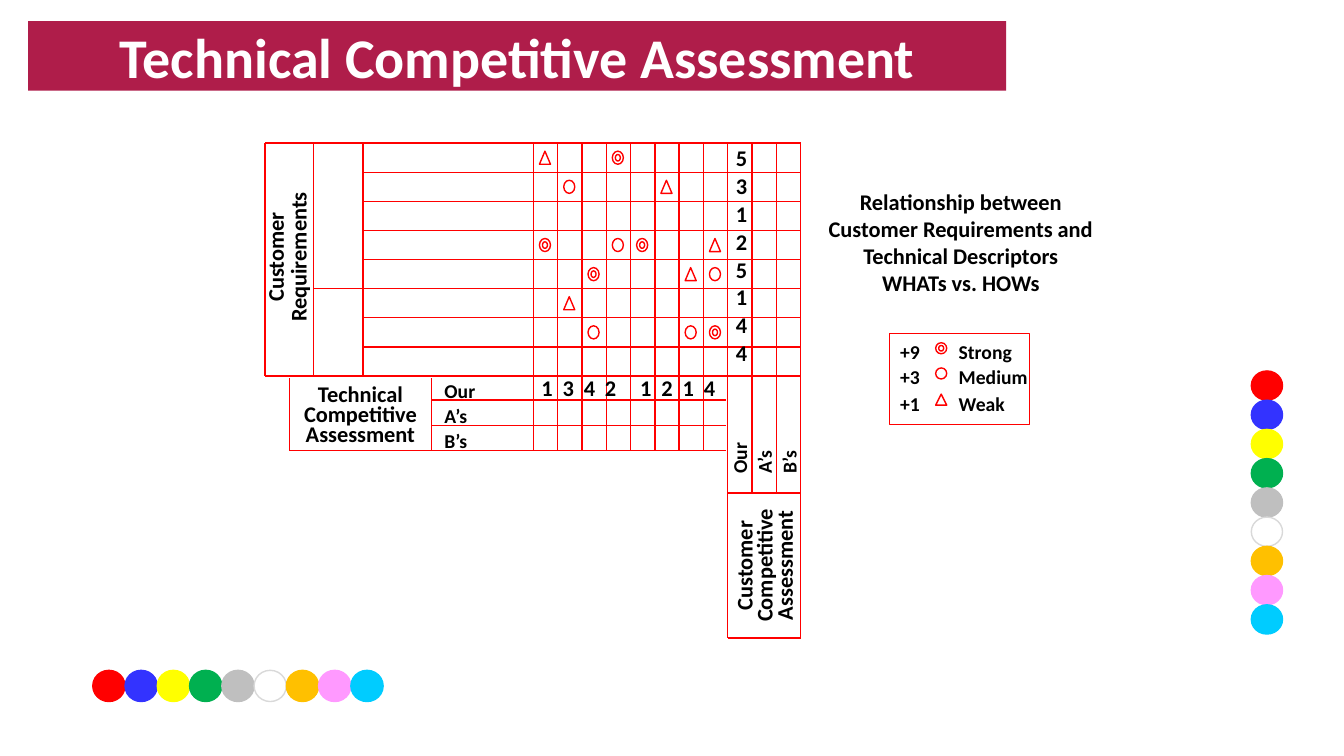
from lxml import etree
from pptx import Presentation
from pptx.dml.color import RGBColor
from pptx.enum.shapes import MSO_CONNECTOR, MSO_SHAPE
from pptx.enum.text import MSO_ANCHOR, PP_ALIGN
from pptx.oxml.ns import qn
from pptx.util import Inches, Pt

RED = "FF0000"
CENTER, LEFT = PP_ALIGN.CENTER, PP_ALIGN.LEFT
RING, CIRCLE, TRIANGLE = "ring", "circle", "triangle"

deck = Presentation()
deck.slide_width, deck.slide_height = Inches(13.33), Inches(7.5)
page = deck.slides.add_slide(deck.slide_layouts[6])


def color(value):
    return RGBColor.from_string(value)


def write(frame, lines, size, align=LEFT, spacing=1.0, gap=0, ink="000000"):
    frame.text = "\n".join(lines)
    for index, para in enumerate(frame.paragraphs):
        para.alignment = align
        para.line_spacing = spacing
        if index and gap:
            para.space_before = Pt(gap)
        for span in para.runs:
            span.font.name = "Calibri"
            span.font.size = Pt(size)
            span.font.bold = True
            span.font.color.rgb = color(ink)


dot_colors = ["FF0000", "3333FF", "FFFF00", "00B050", "BFBFBF",
              "FFFFFF", "FFC000", "FF99FF", "00CCFF"]
dot_rows = [(12.42, 3.67, 0, 0.29, 0.29, 90), (0.92, 6.65, 0.32, 0, 0.32, 0)]
for left, top, step_x, step_y, width, turn in dot_rows:
    for index, fill in enumerate(dot_colors):
        dot = page.shapes.add_shape(
            MSO_SHAPE.FLOWCHART_CONNECTOR,
            Inches(left + index * step_x), Inches(top + index * step_y),
            Inches(width), Inches(0.31))
        dot.rotation = turn
        dot.shadow.inherit = False
        dot.fill.solid()
        dot.fill.fore_color.rgb = color(fill)
        dot.line.color.rgb = color("D9D9D9" if fill == "FFFFFF" else fill)
        dot.line.width = Pt(1)

title = page.shapes.add_shape(
    MSO_SHAPE.RECTANGLE, Inches(0.28), Inches(0.21), Inches(9.7), Inches(0.69))
title.shadow.inherit = False
title.fill.solid()
title.fill.fore_color.rgb = color("AF1D4A")
title.line.fill.background()
title_frame = title.text_frame
title_frame.margin_left = title_frame.margin_right = 0
title_frame.margin_top, title_frame.margin_bottom = Inches(0.01), 0
title_frame.vertical_anchor = MSO_ANCHOR.MIDDLE
title_frame.word_wrap = True
write(title_frame, ["Technical Competitive Assessment"], 40, CENTER, ink="FFFFFF")

grid_left, grid_right, grid_top, grid_bottom = 5.29, 7.94, 1.42, 3.73
column = (grid_right - grid_left) / 11
row = (grid_bottom - grid_top) / 8
rating_left = grid_left + 8 * column

lines = []
column_ends = [4.47] * 8 + [6.33, 4.89, 4.89, 6.33]
for index, end in enumerate(column_ends):
    x = grid_left + index * column
    lines.append((x, grid_top, x, end))
row_starts = [2.63, 3.6, 3.6, 3.6, 3.6, 3.11, 3.6, 3.6, 2.63]
for index, start in enumerate(row_starts):
    y = grid_top + index * row
    lines.append((start, y, grid_right, y))
for x in (2.63, 3.11, 3.6):
    lines.append((x, grid_top, x, grid_bottom))
for x in (2.87, 4.28):
    lines.append((x, 3.75, x, 4.47))
for start, y in ((4.28, 3.97), (4.28, 4.22), (2.87, 4.47)):
    lines.append((start, y, 7.2, y))
for y in (4.89, 6.33):
    lines.append((rating_left, y, grid_right, y))

for ends in lines:
    line = page.shapes.add_connector(
        MSO_CONNECTOR.STRAIGHT, *[Inches(value) for value in ends])
    line.line.color.rgb = color(RED)
    line.line.width = Pt(1)
    etree.SubElement(line._element.spPr, qn("a:effectLst"))

relations = [
    (RING, 0, 3), (RING, 3, 0), (RING, 4, 3), (RING, 2, 4), (RING, 7, 6),
    (CIRCLE, 1, 1), (CIRCLE, 3, 3), (CIRCLE, 7, 4), (CIRCLE, 2, 6), (CIRCLE, 6, 6),
    (TRIANGLE, 0, 0), (TRIANGLE, 5, 1), (TRIANGLE, 7, 3), (TRIANGLE, 6, 4),
    (TRIANGLE, 1, 5),
]
symbols = [(kind, grid_left + 0.06 + x * column, grid_top + 0.08 + y * row, 0.13)
           for kind, x, y in relations]
symbols += [(RING, 9.28, 3.4, 0.11), (CIRCLE, 9.28, 3.65, 0.11),
            (TRIANGLE, 9.28, 3.91, 0.11)]

outlines = [(MSO_SHAPE.RECTANGLE, 8.82, 3.31, 1.39, 0.9)]
for kind, left, top, height in symbols:
    preset = MSO_SHAPE.ISOSCELES_TRIANGLE if kind == TRIANGLE else MSO_SHAPE.OVAL
    outlines.append((preset, left, top, 0.11, height))
    if kind == RING:
        outlines.append((preset, left + 0.03, top + height / 4, 0.05, height / 2))
for preset, *place in outlines:
    outline = page.shapes.add_shape(preset, *[Inches(value) for value in place])
    outline.shadow.inherit = False
    outline.fill.background()
    outline.line.color.rgb = color(RED)
    outline.line.width = Pt(1)

assessment = ["Competitive", "Assessment"]
owners = ["Our", "A’s", "B’s"]
labels = [
    ((1.81, 2.27, 2.11, 0.56), 270, True, ["Customer Requirements"], 16, CENTER, 0.85, 0),
    ((6.85, 5.26, 1.51, 0.7), 270, False, ["Customer"] + assessment, 16, CENTER, 0.75, 0),
    ((2.82, 3.78, 1.51, 0.7), 0, False, ["Technical"] + assessment, 16, CENTER, 0.75, 0),
    ((7.28, 4.09, 0.58, 0.83), 270, False, owners, 14, LEFT, 1.05, 0),
    ((4.31, 3.7, 0.58, 0.83), 0, False, owners, 14, LEFT, 1.05, 0),
    ((7.2, 1.41, 0.28, 2.35), 0, True, list("53125144"), 16, CENTER, 0.92, 2.2),
    ((8, 1.82, 3.06, 1.44), 0, True,
     ["Relationship between", "Customer Requirements and", "Technical Descriptors",
      "WHATs vs. HOWs"], 16, CENTER, 1.0, 0),
]
legend = [("+9", "Strong", 0.84, 3.37), ("+3", "Medium", 0.95, 3.62),
          ("+1", "Weak", 0.74, 3.88)]
for score, strength, width, top in legend:
    labels.append(((8.83, top, 0.43, 0.29), 0, False, [score], 14, LEFT, 0.8, 0))
    labels.append(((9.41, top, width, 0.29), 0, False, [strength], 14, LEFT, 0.8, 0))

for place, turn, wrap, words, size, align, spacing, gap in labels:
    box = page.shapes.add_textbox(*[Inches(value) for value in place])
    box.rotation = turn
    box.text_frame.word_wrap = wrap
    write(box.text_frame, words, size, align, spacing, gap)

for left, scores in ((5.21, "1342"), (6.19, "1214")):
    box = page.shapes.add_textbox(Inches(left), Inches(3.66), Inches(1.08), Inches(0.37))
    frame = box.text_frame
    frame.word_wrap = True
    frame.margin_left = Inches(0.16)
    frame.margin_right = 0
    write(frame, ["\t".join(scores)], 16)
    stops = etree.SubElement(frame.paragraphs[0]._p.get_or_add_pPr(), qn("a:tabLst"))
    for index in (1, 2, 3):
        etree.SubElement(stops, qn("a:tab"), pos=str(Inches(0.21 * index)), algn="l")

deck.save("out.pptx")
